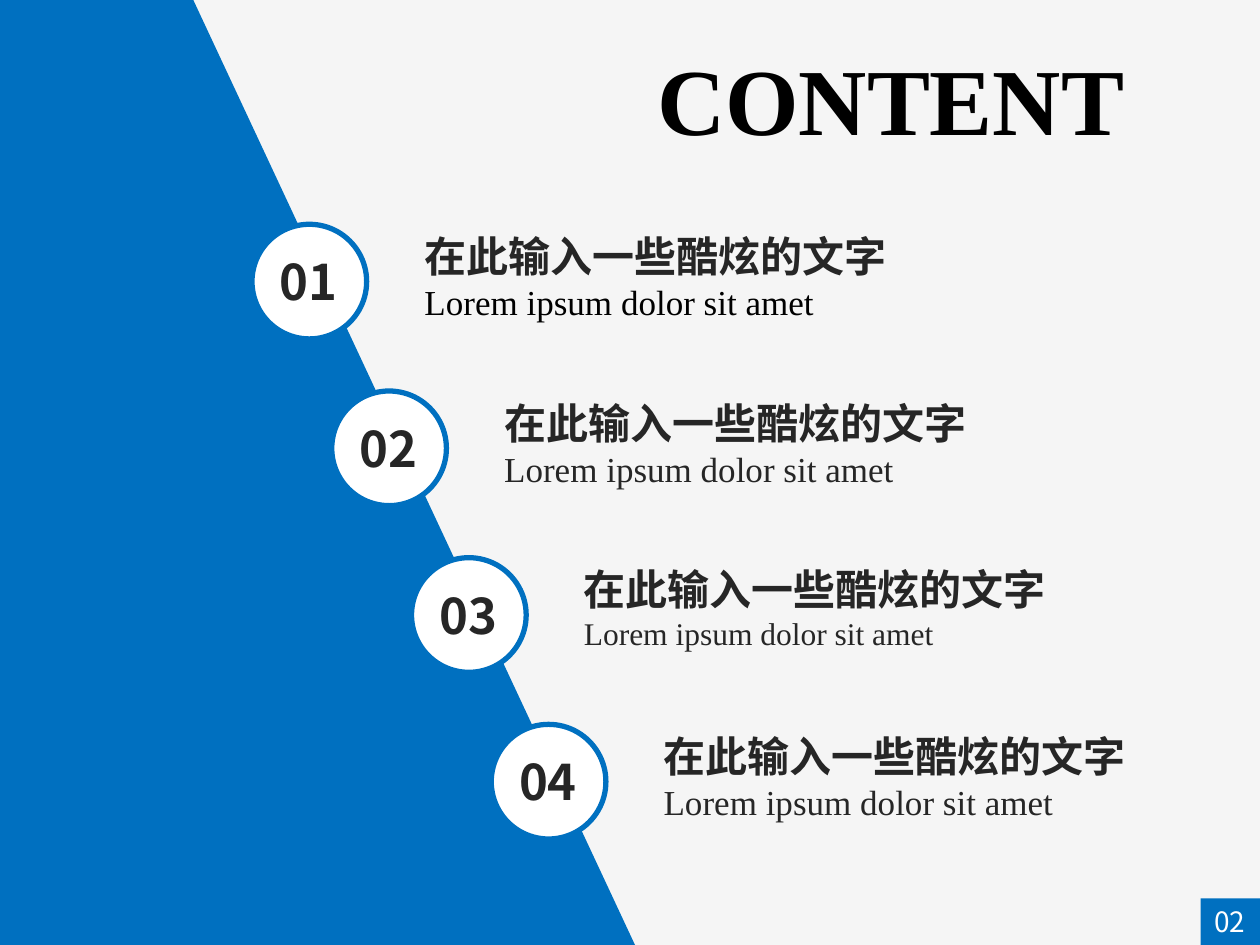
from pptx import Presentation, util as u
from pptx.dml.color import RGBColor
from pptx.enum import shapes, text
from pptx.oxml.ns import qn
from lxml import etree

BLUE = RGBColor(0x00, 0x70, 0xC0)
DARK = RGBColor(0x26, 0x26, 0x26)
BLACK = RGBColor(0, 0, 0)
WHITE = RGBColor(0xFF, 0xFF, 0xFF)
PALE = RGBColor(0xF5, 0xF5, 0xF5)
SANS, SERIF = "Noto Sans CJK SC", "Times New Roman"

# Content
TITLE = "CONTENT"
PAGE = "02"
HEAD = "在此输入一些酷炫的文字"
BODY = "Lorem ipsum dolor sit amet"
# number, body size, body colour, text width, text height
ITEMS = [
    ("01", 20, BLACK, 6.11, 0.84),
    ("02", 20, DARK, 5.47, 0.84),
    ("03", 18, DARK, 5.46, 0.81),
    ("04", 20, DARK, 4.83, 0.84),
]
EDGE = [(5.04, 7.5), (1.53, -0.01), (-0.03, -0.01), (-0.01, 7.54)]

# Layout: each item steps down along the slanted edge
LEFT, TOP = 2, 1.78
STEP_X, STEP_Y = 0.633, 1.323
DISC = 0.91
GAP = 1.27


def inches(*vals):
    return [u.Inches(v) for v in vals]


def paint(shape, fill, line=None):
    shape.shadow.inherit = False
    shape.fill.solid()
    shape.fill.fore_color.rgb = fill
    if line is None:
        shape.line.fill.background()
    else:
        shape.line.color.rgb = line
        shape.line.width = u.Pt(3)


def write(para, words, size=24, font=SANS, color=DARK, bold=False, center=False):
    para.alignment = text.PP_ALIGN.CENTER if center else text.PP_ALIGN.LEFT
    run = para.add_run()
    run.text = words
    run.font.size = u.Pt(size)
    run.font.name = font
    run.font.bold = bold
    run.font.color.rgb = color
    east = etree.SubElement(run.font._element, qn("a:ea"))
    east.set("typeface", font)


def add_box(parent, *at):
    frame = parent.add_textbox(*inches(*at)).text_frame
    frame.word_wrap = True
    return frame


deck = Presentation()
deck.slide_width, deck.slide_height = inches(10, 7.5)
slide = deck.slides.add_slide(deck.slide_layouts[6])
slide.background.fill.solid()
slide.background.fill.fore_color.rgb = PALE
parts = slide.shapes

# Slanted panel
pts = [inches(*p) for p in EDGE]
build = parts.build_freeform(*pts[0])
build.add_line_segments(pts[1:], close=True)
paint(build.convert_to_shape(), BLUE)

# Numbered discs with their text
for i, (num, size, color, wide, high) in enumerate(ITEMS):
    x, y = LEFT + i * STEP_X, TOP + i * STEP_Y
    group = parts.add_group_shape().shapes
    disc = group.add_shape(shapes.MSO_SHAPE.OVAL, *inches(x, y, DISC, DISC))
    paint(disc, WHITE, BLUE)
    label = add_box(group, x + 0.08, y + 0.17, 0.74, 0.57)
    write(label.paragraphs[0], num, size=28, bold=True, center=True)

    frame = add_box(parts, x + GAP, y, wide, high)
    write(frame.paragraphs[0], HEAD, bold=True)
    write(frame.add_paragraph(), BODY, size=size, font=SERIF, color=color)

# Title
title = add_box(parts, 4.77, 0.28, 4.6, 1.01)
write(title.paragraphs[0], TITLE, size=54, font=SERIF, color=BLACK,
      bold=True, center=True)

# Page number
group = parts.add_group_shape().shapes
tab = group.add_shape(shapes.MSO_SHAPE.RECTANGLE, *inches(9.53, 7.13, 0.47, 0.37))
paint(tab, BLUE)
page = add_box(group, 9.41, 7.13, 0.7, 0.37)
write(page.paragraphs[0], PAGE, size=16, color=WHITE, center=True)

deck.save("out.pptx")
